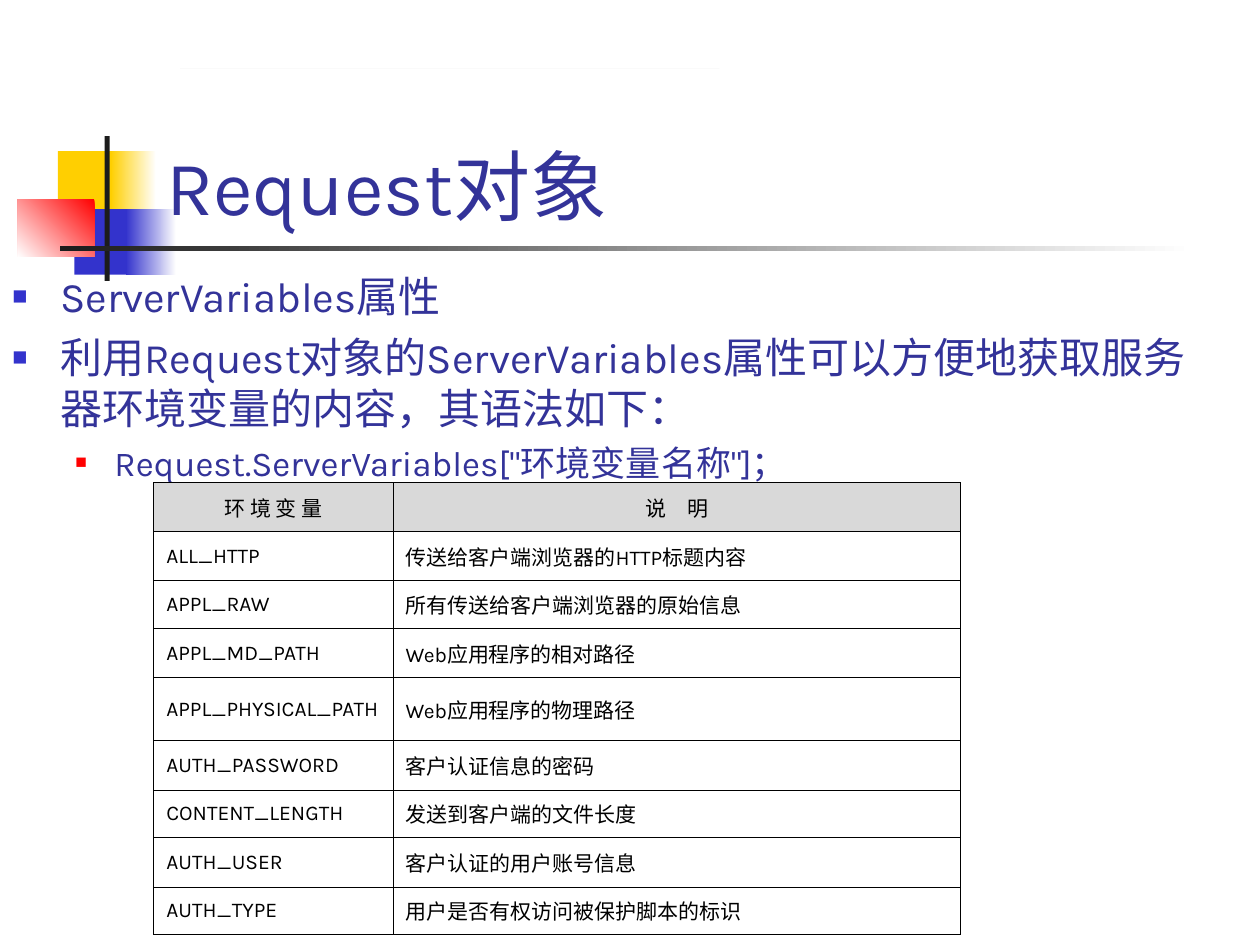
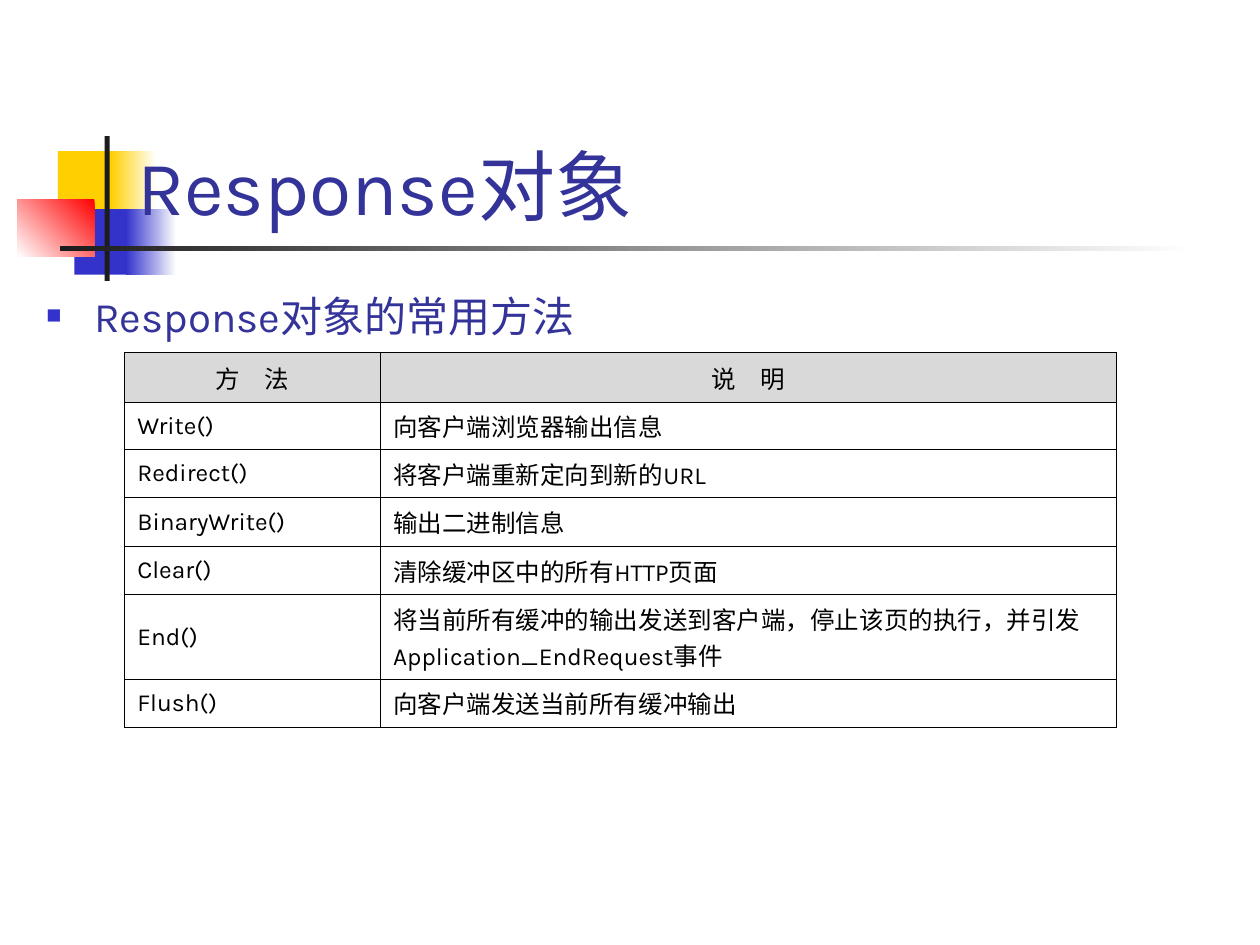
from lxml import etree
from pptx import Presentation
from pptx.dml.color import RGBColor
from pptx.enum import shapes, text
from pptx.oxml import ns
from pptx.util import Inches, Pt

FONT = "Karla"
HUES = {
    "ink": "333399", "blue": "3333CC", "gold": "FFCF01", "red": "FF0000",
    "dark": "1C1C1C", "grey": "D9D9D9", "white": "FFFFFF", "black": "000000",
}

# Shared emblem and rule: left, top, width, height, start hue, end hue, angle
DECOR = [
    (0.46, 1.2, 0.48, 0.52, "gold", None, 0),
    (0.88, 1.2, 0.36, 0.52, "white", "gold", 180),
    (0.59, 1.66, 0.46, 0.52, "blue", None, 0),
    (1, 1.66, 0.4, 0.52, "white", "blue", 180),
    (0.14, 1.58, 0.61, 0.46, "red", "white", 225),
    (0.83, 1.08, 0.04, 1.15, "dark", None, 0),
    (0.48, 1.95, 9, 0.04, "white", "dark", 180),
]

# Bullet levels: size, left indent, hanging indent, space before, hue, bullet %
LEVELS = [(24, 0.38, 0.38, 6, "blue", 60), (20, 0.81, 0.31, 5, "red", 55)]

PAGES = [
    {
        "title": "Request对象", "left": 1.22,
        "body": (0, 2.1, 9.8, 4.88), "gap": 1,
        "items": [
            (0, "ServerVariables属性"),
            (0, "利用Request对象的ServerVariables属性可以方便地获取服务器环境变量的内容，其语法如下："),
            (1, 'Request.ServerVariables["环境变量名称"]；'),
        ],
        "strip": (1.43, 0.54, 4.28, 0),
        "grid": (1.22, 3.83), "size": 12, "cols": (1.9, 4.5),
        "row": 0.39, "tall": {2: 0.38, 4: 0.5, 6: 0.38, 8: 0.38},
        "cells": [
            ("环 境 变 量", "说　明"),
            ("ALL_HTTP", "传送给客户端浏览器的HTTP标题内容"),
            ("APPL_RAW", "所有传送给客户端浏览器的原始信息"),
            ("APPL_MD_PATH", "Web应用程序的相对路径"),
            ("APPL_PHYSICAL_PATH", "Web应用程序的物理路径"),
            ("AUTH_PASSWORD", "客户认证信息的密码"),
            ("CONTENT_LENGTH", "发送到客户端的文件长度"),
            ("AUTH_USER", "客户认证的用户账号信息"),
            ("AUTH_TYPE", "用户是否有权访问被保护脚本的标识"),
        ],
    },
    {
        "title": "Response对象", "left": 0.99,
        "body": (0.27, 2.33, 9.73, 4.88), "gap": 0.8,
        "items": [(0, "Response对象的常用方法")],
        "strip": None,
        "grid": (0.99, 2.8), "size": 14, "cols": (2.03, 5.84),
        "row": 0.38, "tall": {0: 0.39, 3: 0.39, 5: 0.67},
        "cells": [
            ("方　法", "说　明"),
            ("Write()", "向客户端浏览器输出信息"),
            ("Redirect()", "将客户端重新定向到新的URL"),
            ("BinaryWrite()", "输出二进制信息"),
            ("Clear()", "清除缓冲区中的所有HTTP页面"),
            ("End()", "将当前所有缓冲的输出发送到客户端，停止该页的执行，并引发Application_EndRequest事件"),
            ("Flush()", "向客户端发送当前所有缓冲输出"),
        ],
    },
]


def write(para, words, size, hue):
    run = para.add_run()
    run.text = words
    run.font.size = Pt(size)
    run.font.name = FONT
    run.font.color.rgb = RGBColor.from_string(HUES[hue])


def node(parent, tag, **attrs):
    return etree.SubElement(parent, ns.qn("a:" + tag), **attrs)


deck = Presentation()
deck.slide_width, deck.slide_height = Inches(10), Inches(7.5)

for page in PAGES:
    slide = deck.slides.add_slide(deck.slide_layouts[6])

    # Emblem, rule and thin strip
    parts = list(DECOR)
    if page["strip"]:
        parts.append((*page["strip"], "grey", None, 0))
    for *box, hue, end, angle in parts:
        rect = slide.shapes.add_shape(shapes.MSO_SHAPE.RECTANGLE, *map(Inches, box))
        rect.shadow.inherit = False
        rect.line.fill.background()
        if end:
            rect.fill.gradient()
            rect.fill.gradient_angle = angle
            for stop, tone in zip(rect.fill.gradient_stops, (hue, end)):
                stop.color.rgb = RGBColor.from_string(HUES[tone])
        else:
            rect.fill.solid()
            rect.fill.fore_color.rgb = RGBColor.from_string(HUES[hue])

    # Bulleted body
    frame = slide.shapes.add_textbox(*map(Inches, page["body"])).text_frame
    frame.word_wrap = True
    for i, (level, words) in enumerate(page["items"]):
        size, indent, hang, before, hue, scale = LEVELS[level]
        para = frame.add_paragraph() if i else frame.paragraphs[0]
        para.level = level
        para.line_spacing = page["gap"]
        para.space_before = Pt(before)
        props = para._p.get_or_add_pPr()
        props.set("marL", str(Inches(indent)))
        props.set("indent", str(-Inches(hang)))
        node(node(props, "buClr"), "srgbClr", val=HUES[hue])
        node(props, "buSzPct", val=str(scale * 1000))
        node(props, "buFont", typeface="Arial")
        node(props, "buChar", char="■")
        write(para, words, size, "ink")

    # Title
    box = slide.shapes.add_textbox(Inches(page["left"]), Inches(0.28), Inches(8.52), Inches(1.6))
    frame = box.text_frame
    frame.word_wrap = True
    frame.vertical_anchor = text.MSO_ANCHOR.BOTTOM
    write(frame.paragraphs[0], page["title"], 44, "ink")

    # Table
    cells, cols = page["cells"], page["cols"]
    highs = [page["tall"].get(i, page["row"]) for i in range(len(cells))]
    span = (*page["grid"], sum(cols), sum(highs))
    table = slide.shapes.add_table(len(cells), len(cols), *map(Inches, span)).table
    for col, width in zip(table.columns, cols):
        col.width = Inches(width)
    for i, (row, high) in enumerate(zip(table.rows, highs)):
        row.height = Inches(high)
        for cell, words in zip(row.cells, cells[i]):
            cell.vertical_anchor = text.MSO_ANCHOR.MIDDLE
            props = cell._tc.get_or_add_tcPr()
            for side in ("lnL", "lnR", "lnT", "lnB"):
                edge = node(props, side, w=str(Pt(0.45)))
                node(node(edge, "solidFill"), "srgbClr", val=HUES["black"])
            if i:
                cell.fill.background()
            else:
                cell.fill.solid()
                cell.fill.fore_color.rgb = RGBColor.from_string(HUES["grey"])
            para = cell.text_frame.paragraphs[0]
            para.alignment = text.PP_ALIGN.LEFT if i else text.PP_ALIGN.CENTER
            write(para, words, page["size"], "black")
            para.runs[0].font.bold = False

deck.save("out.pptx")
